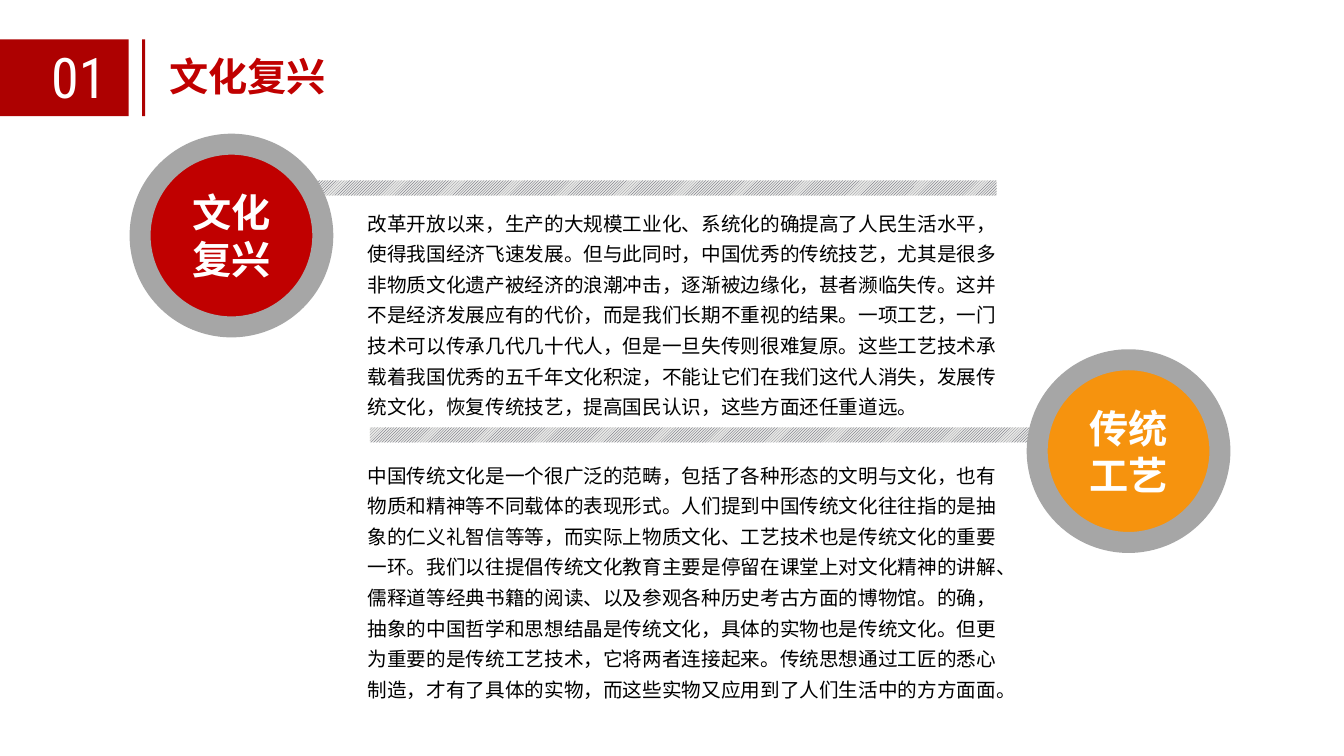
from dataclasses import dataclass

from pptx import Presentation
from pptx.dml.color import RGBColor as RGB
from pptx.enum.dml import MSO_PATTERN as Pattern
from pptx.enum.lang import MSO_LANGUAGE_ID as Lang
from pptx.enum.shapes import MSO_SHAPE as Kind
from pptx.enum.text import MSO_ANCHOR as Anchor, MSO_AUTO_SIZE as Fit, PP_ALIGN as Align
from pptx.oxml.ns import qn
from pptx.util import Pt


@dataclass(frozen=True)
class Theme:
    red: str = "C00000"
    dark: str = "AD0101"
    orange: str = "F6930E"
    ring: str = "A6A6A6"
    white: str = "FFFFFF"
    black: str = "000000"
    hatch: str = "414455"
    pale: str = "E8E8E6"
    head: str = "Noto Sans CJK SC"
    digit: str = "Roboto Condensed"
    plain: str = "Arial"
    large: int = 28
    huge: int = 40
    small: int = 14


class Page:
    def __init__(self, slide, theme):
        self.slide = slide
        self.theme = theme

    def style(self, para, face, size, color, bold=False):
        font = para.font
        font.name, font.size, font.bold = face, Pt(size), bold
        font.color.rgb = RGB.from_string(color)
        font.language_id = Lang.SIMPLIFIED_CHINESE
        if face == self.theme.head:
            props = para._p.pPr.find(qn("a:defRPr"))
            east = props.makeelement(qn("a:ea"), {"typeface": face})
            props.find(qn("a:latin")).addnext(east)

    def shape(self, kind, box, color):
        shape = self.slide.shapes.add_shape(kind, *map(Pt, box))
        shape.shadow.inherit = False
        shape.fill.solid()
        shape.fill.fore_color.rgb = RGB.from_string(color)
        shape.line.fill.background()
        return shape

    def band(self, left, top):
        """Draw a hatched strip."""
        fill = self.shape(Kind.RECTANGLE, (left, top, 493, 10.8), self.theme.pale).fill
        fill.patterned()
        fill.pattern = Pattern.LIGHT_UPWARD_DIAGONAL
        fill.fore_color.rgb = RGB.from_string(self.theme.hatch)
        fill.back_color.rgb = RGB.from_string(self.theme.pale)

    def disc(self, left, top, color, label):
        """Draw a ringed circle with its label."""
        look = self.theme
        shape = self.shape(Kind.OVAL, (left, top, 130.5, 130.5), color)
        shape.line.color.rgb = RGB.from_string(look.ring)
        shape.line.width = Pt(15)
        frame = shape.text_frame
        frame.word_wrap = True
        frame.vertical_anchor = Anchor.MIDDLE
        para = frame.paragraphs[0]
        para.text = label
        para.alignment = Align.CENTER
        self.style(para, look.head, look.large, look.white, True)

    def text(self, box, words, face, size, color, space=None, wrap=True):
        frame = self.slide.shapes.add_textbox(*map(Pt, box)).text_frame
        frame.word_wrap = wrap
        frame.auto_size = Fit.SHAPE_TO_FIT_TEXT
        para = frame.paragraphs[0]
        para.text = words
        para.line_spacing = space
        self.style(para, face, size, color)

    def title(self, box, words):
        look = self.theme
        title = self.slide.shapes.title
        title.left, title.top, title.width, title.height = map(Pt, box)
        frame = title.text_frame
        frame.word_wrap = True
        frame.auto_size = Fit.SHAPE_TO_FIT_TEXT
        frame.vertical_anchor = Anchor.TOP
        para = frame.paragraphs[0]
        para.text = words
        para.alignment = Align.LEFT
        self.style(para, look.head, look.large, look.red, True)


REVIVAL = (
    "改革开放以来，生产的大规模工业化、系统化的确提高了人民生活水平，"
    "使得我国经济飞速发展。但与此同时，中国优秀的传统技艺，尤其是很多"
    "非物质文化遗产被经济的浪潮冲击，逐渐被边缘化，甚者濒临失传。这并"
    "不是经济发展应有的代价，而是我们长期不重视的结果。一项工艺，一门"
    "技术可以传承几代几十代人，但是一旦失传则很难复原。这些工艺技术承"
    "载着我国优秀的五千年文化积淀，不能让它们在我们这代人消失，发展传"
    "统文化，恢复传统技艺，提高国民认识，这些方面还任重道远。"
)
CRAFT = (
    "中国传统文化是一个很广泛的范畴，包括了各种形态的文明与文化，也有"
    "物质和精神等不同载体的表现形式。人们提到中国传统文化往往指的是抽"
    "象的仁义礼智信等等，而实际上物质文化、工艺技术也是传统文化的重要"
    "一环。我们以往提倡传统文化教育主要是停留在课堂上对文化精神的讲解、"
    "儒释道等经典书籍的阅读、以及参观各种历史考古方面的博物馆。的确，"
    "抽象的中国哲学和思想结晶是传统文化，具体的实物也是传统文化。但更"
    "为重要的是传统工艺技术，它将两者连接起来。传统思想通过工匠的悉心"
    "制造，才有了具体的实物，而这些实物又应用到了人们生活中的方方面面。"
)


def main():
    deck = Presentation()
    deck.slide_width, deck.slide_height = Pt(960), Pt(540)
    look = Theme()
    page = Page(deck.slides.add_slide(deck.slide_layouts[5]), look)

    page.title((113.8, 33.8, 324.7, 41), "文化复兴")
    for left, width in ((0, 92), (101.5, 2.2)):
        page.shape(Kind.RECTANGLE, (left, 28.1, width, 55), look.dark)
    page.text((29.5, 26.6, 54, 55.4), "01", look.digit, look.huge, look.white, wrap=False)

    page.band(264.2, 305.3)
    page.band(218.9, 128.9)
    page.disc(100.1, 103, look.red, "文化复兴")
    page.disc(740.9, 257, look.orange, "传统工艺")
    for top, height, words in ((142.6, 159.8, REVIVAL), (322.6, 181.4, CRAFT)):
        page.text((255.6, top, 465.1, height), words, look.plain, look.small, look.black, 1.3)

    deck.save("out.pptx")


if __name__ == "__main__":
    main()
